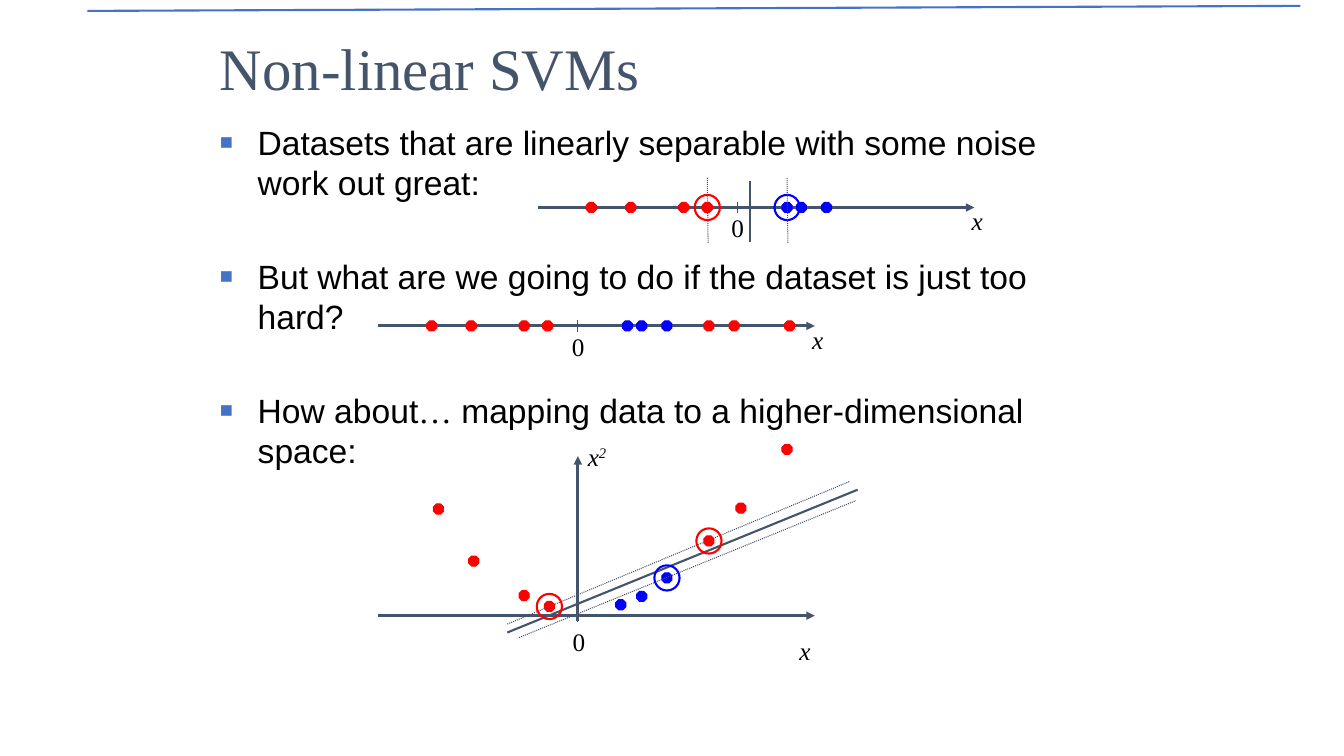
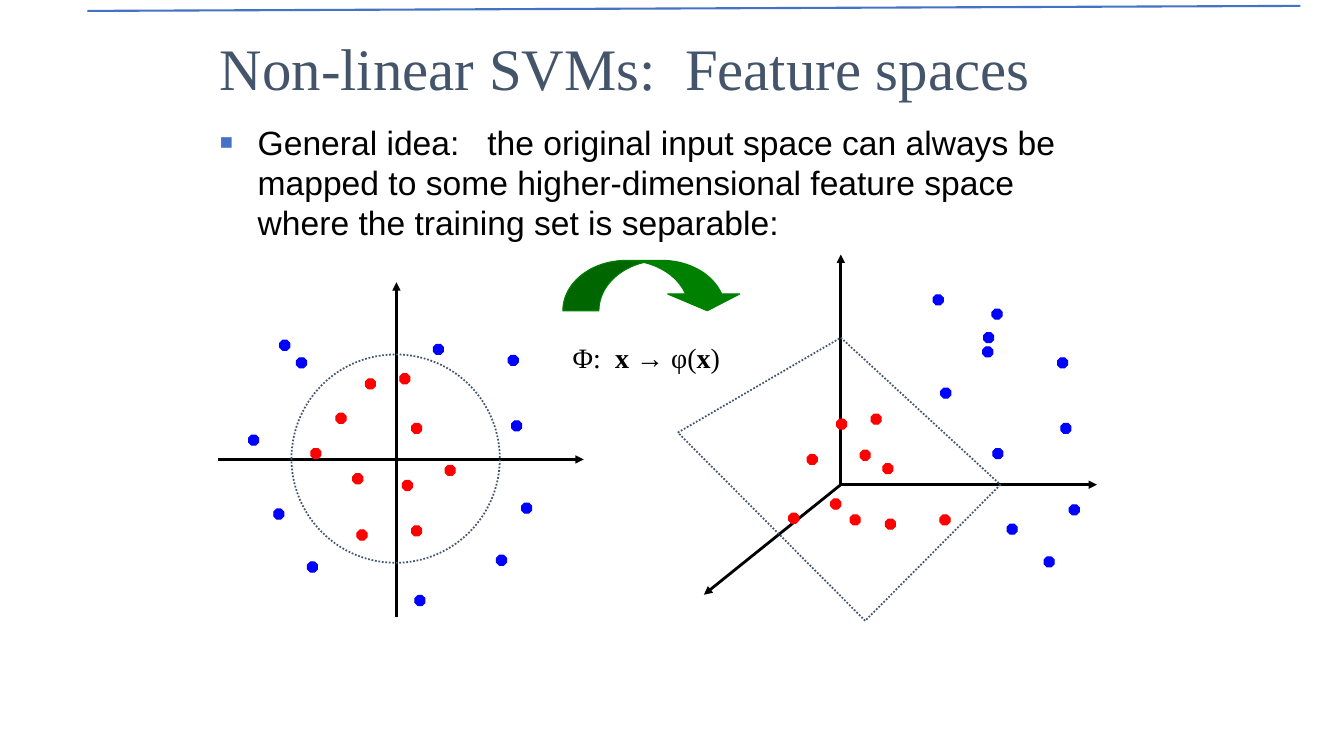
from lxml import etree
from pptx import Presentation
from pptx import util as u
from pptx.dml.color import RGBColor
from pptx.enum import dml, shapes, text
from pptx.oxml.ns import qn

COLS, ROWS = 160, 90
UNIT = 76200
SERIF, SANS = "Times New Roman", "Arial"
SLATE, ACCENT, BLACK = "44546A", "4472C4", "000000"
RED, BLUE, GREEN = "FF0000", "0000FF", "008000"
DOT, RING = 1.2, 3
LEFT, BODY_WIDTH = 25, 108


def rgb(value):
    return RGBColor.from_string(value)


def g(*values):
    return [round(v * UNIT) for v in values]


def set_line(line, color, width, dotted=False):
    line.color.rgb = rgb(color)
    line.width = u.Pt(width)
    if dotted:
        line.dash_style = dml.MSO_LINE.ROUND_DOT


def add_line(s, start, end, color=SLATE, width=2, dotted=False, arrow=False):
    c = s.shapes.add_connector(shapes.MSO_CONNECTOR.STRAIGHT, *g(*start, *end))
    set_line(c.line, color, width, dotted)
    sp_pr = c._element.spPr
    if arrow:
        etree.SubElement(sp_pr.find(qn("a:ln")), qn("a:tailEnd"), type="triangle")
    etree.SubElement(sp_pr, qn("a:effectLst"))


def add_shape(s, kind, box, line, width=0.75, fill=None, dotted=False):
    sp = s.shapes.add_shape(kind, *g(*box))
    sp.shadow.inherit = False
    if fill:
        sp.fill.solid()
        sp.fill.fore_color.rgb = rgb(fill)
    else:
        sp.fill.background()
    set_line(sp.line, line, width, dotted)
    return sp


def add_box(s, box):
    tf = s.shapes.add_textbox(*g(*box)).text_frame
    tf.word_wrap = True
    return tf


def add_run(p, words, size, name=SERIF, color=BLACK, bold=False, italic=False):
    r = p.add_run()
    r.text = words
    f = r.font
    f.size, f.name, f.bold, f.italic = u.Pt(size), name, bold, italic
    f.color.rgb = rgb(color)
    return r


def add_bullet(p):
    p_pr = p._p.get_or_add_pPr()
    indent = round(4.5 * UNIT)
    p_pr.set("marL", str(indent))
    p_pr.set("indent", str(-indent))
    clr = etree.SubElement(p_pr, qn("a:buClr"))
    etree.SubElement(clr, qn("a:srgbClr"), val=ACCENT)
    etree.SubElement(p_pr, qn("a:buSzPct"), val="65000")
    etree.SubElement(p_pr, qn("a:buFont"), typeface=SANS)
    etree.SubElement(p_pr, qn("a:buChar"), char="■")


def base_slide(prs, title, title_width, bullets):
    s = prs.slides.add_slide(prs.slide_layouts[6])
    add_line(s, (10.4, 1.3), (154.8, 0.7), ACCENT, 1.5)
    tf = add_box(s, (LEFT, 3, title_width, 10))
    tf.vertical_anchor = text.MSO_ANCHOR.MIDDLE
    add_run(tf.paragraphs[0], title, 42, color=SLATE)
    tf = add_box(s, (LEFT, 14, BODY_WIDTH, 66))
    for i, runs in enumerate(bullets):
        p = tf.add_paragraph() if i else tf.paragraphs[0]
        add_bullet(p)
        p.line_spacing = u.Pt(28.6)
        if i:
            p.space_before = u.Pt(38.5)
        for words, name in runs:
            add_run(p, words, 24, name)
    return s


class Plot:
    def __init__(self, s, x, y):
        self.s, self.x, self.y = s, x, y

    def at(self, x, y):
        return self.x + x, self.y + y

    def line(self, start, end, **style):
        add_line(self.s, self.at(*start), self.at(*end), **style)

    def centred(self, kind, point, size, *args, **style):
        x, y = self.at(*point)
        box = (x - size / 2, y - size / 2, size, size)
        add_shape(self.s, kind, box, *args, **style)

    def dots(self, points, color):
        for point in points:
            self.centred(shapes.MSO_SHAPE.OCTAGON, point, DOT, color, fill=color)

    def ring(self, point, color):
        self.centred(shapes.MSO_SHAPE.OVAL, point, RING, color, 1.5)

    def label(self, words, x, y, italic=False, power=None):
        p = add_box(self.s, (*self.at(x, y), 6, 4.8)).paragraphs[0]
        add_run(p, words, 18, italic=italic)
        if power:
            r = add_run(p, power, 18, italic=italic)
            r.font._element.set("baseline", "30000")


AXIS, ZERO = 52, 23.8
LOW = [6.4, 11.1, 17.4, 20.2]
MIDDLE = [29.7, 31.4, 34.4]
HIGH = [39.4, 42.4, 49]


def axis_x(plot):
    plot.line((0, 0), (AXIS, 0), arrow=True)
    plot.line((ZERO, -0.7), (ZERO, 0.7), width=0.75)


def number_line(s, x, y, reds, blues):
    plot = Plot(s, x, y)
    axis_x(plot)
    plot.dots([(v, 0) for v in reds], RED)
    plot.dots([(v, 0) for v in blues], BLUE)
    plot.label("0", ZERO - 1.9, 0)
    plot.label("x", 50.5, -0.8, italic=True)
    return plot


def add_margin(plot):
    plot.line((25.3, -3.2), (25.3, 4.1), width=1.5)
    for x, color in ((LOW[-1], RED), (MIDDLE[0], BLUE)):
        plot.ring((x, 0), color)
        plot.line((x + 0.1, 4.2), (x, -3.6), width=0.75, dotted=True)


def squared_plot(s, x, y):
    plot = Plot(s, x, y)
    reds = [(7.2, -12.7), (11.4, -6.5), (17.4, -2.4), (20.4, -1.1),
            (39.4, -8.9), (43.2, -12.8), (48.7, -19.8)]
    blues = [(28.9, -1.3), (31.4, -2.3), (34.4, -4.5)]
    axis_x(plot)
    plot.line((ZERO, 0.6), (ZERO, -19), arrow=True)
    plot.dots(reds, RED)
    plot.dots(blues, BLUE)
    plot.line((15.4, 2), (57.1, -15), width=1.5)
    for start, end in (((15.4, 1), (56.2, -16)), ((16.8, 2.6), (56.9, -13.7))):
        plot.line(start, end, width=0.75, dotted=True)
    for point, color in ((reds[3], RED), (reds[4], RED), (blues[2], BLUE)):
        plot.ring(point, color)
    plot.label("x", ZERO, -21.4, italic=True, power="2")
    plot.label("0", 22, 0.7)
    plot.label("x", 49, 1.7, italic=True)


def input_space(s, x, y):
    plot = Plot(s, x, y)
    plot.line((0, 18.7), (0, -21.1), color=BLACK, arrow=True)
    plot.line((-21.2, 0), (22.3, 0), color=BLACK, arrow=True)
    plot.dots([(1, -9.6), (-6.6, -4.9), (-4.6, 2.3), (2.4, 8.5), (-3.1, -9),
               (-9.6, -0.7), (-4.1, 9), (2.4, -3.7), (6.4, 1.3), (1.3, 3.1)], RED)
    plot.dots([(14.3, -4), (12.5, 12), (-17, -2.3), (2.8, 16.8), (15.5, 5.8),
               (-10, 12.8), (-14, 6.5), (-13.3, -13.6), (5, -13.1),
               (-11.3, -11.5), (13.9, -11.8)], BLUE)
    plot.centred(shapes.MSO_SHAPE.OVAL, (-0.1, -0.1), 24.8, SLATE, 1.25, dotted=True)


def feature_space(s, x, y):
    plot = Plot(s, x, y)
    for end in ((0, -27.4), (30.5, 0), (-16.3, 13.1)):
        plot.line((0, 0), end, color=BLACK, arrow=True)
    plot.dots([(4.2, -7.8), (-3.4, -3), (1.7, 4.2), (12.4, 4.2), (0.1, -7.2),
               (2.9, -3.5), (5.9, 4.7), (5.6, -1.9), (-0.6, 2.3), (-5.6, 4)], RED)
    plot.dots([(26.8, -6.7), (24.8, 9.2), (18.6, -20.3), (18.7, -3.7), (27.8, 3),
               (12.5, -10.9), (20.4, 5.3), (17.6, -17.5), (17.5, -15.8),
               (11.6, -22), (26.4, -14.5)], BLUE)
    plane = [(0, -17.5), (19, 0), (2.9, 16.2), (-19.4, -6.2)]
    for start, end in zip(plane, plane[1:] + plane[:1]):
        plot.line(start, end, width=1.25, dotted=True)


def mapping(s, x, y):
    sp = add_shape(s, shapes.MSO_SHAPE.CURVED_DOWN_ARROW, (x, y, 21.5, 6),
                   GREEN, fill=GREEN)
    for i, value in enumerate((0.717, 1.433, 0.333)):
        sp.adjustments[i] = value
    p = add_box(s, (x, y + 9, 25, 5.1)).paragraphs[0]
    for words, bold in (("Φ:  ", False), ("x → ", True), ("φ(", False),
                        ("x", True), (")", False)):
        add_run(p, words, 20, bold=bold)


def nonlinear_slide(prs):
    s = base_slide(prs, "Non-linear SVMs", 63, [
        [("Datasets that are linearly separable with some noise work out great:", SANS)],
        [("But what are we going to do if the dataset is just too hard?", SANS)],
        [("How about", SANS), ("…", SERIF),
         (" mapping data to a higher-dimensional space:", SANS)],
    ])
    add_margin(number_line(s, 64, 24.7, LOW, MIDDLE))
    number_line(s, 45, 38.8, LOW + HIGH, MIDDLE)
    squared_plot(s, 45, 73.3)


def feature_slide(prs):
    s = base_slide(prs, "Non-linear SVMs:  Feature spaces", 102, [
        [("General idea:   the original input space can always be mapped to some "
          "higher-dimensional feature space where the training set is separable:", SANS)],
    ])
    input_space(s, 47.2, 54.7)
    feature_space(s, 100.1, 57.7)
    mapping(s, 67, 31)


def main():
    prs = Presentation()
    prs.slide_width, prs.slide_height = g(COLS, ROWS)
    nonlinear_slide(prs)
    feature_slide(prs)
    prs.save("out.pptx")


if __name__ == "__main__":
    main()
